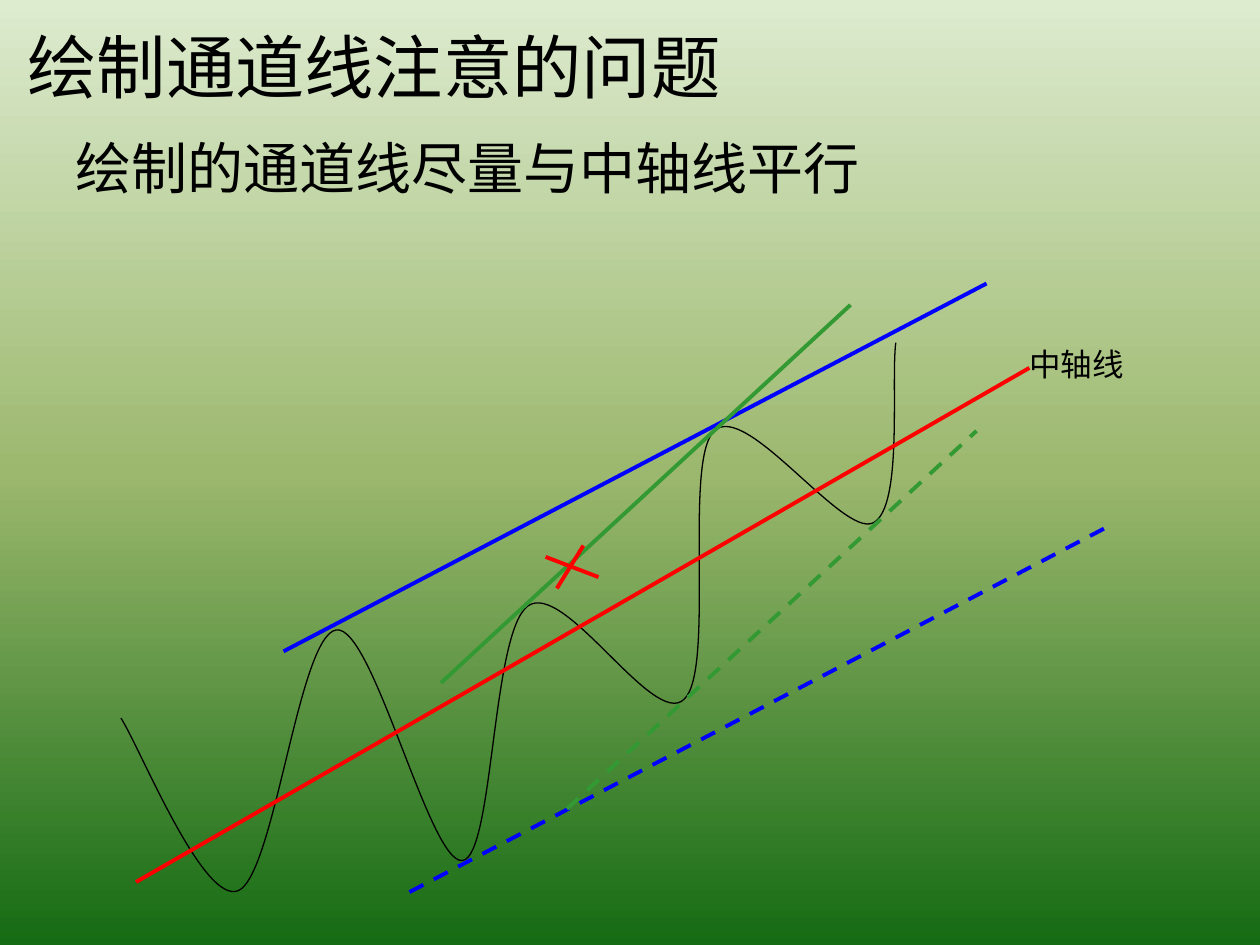
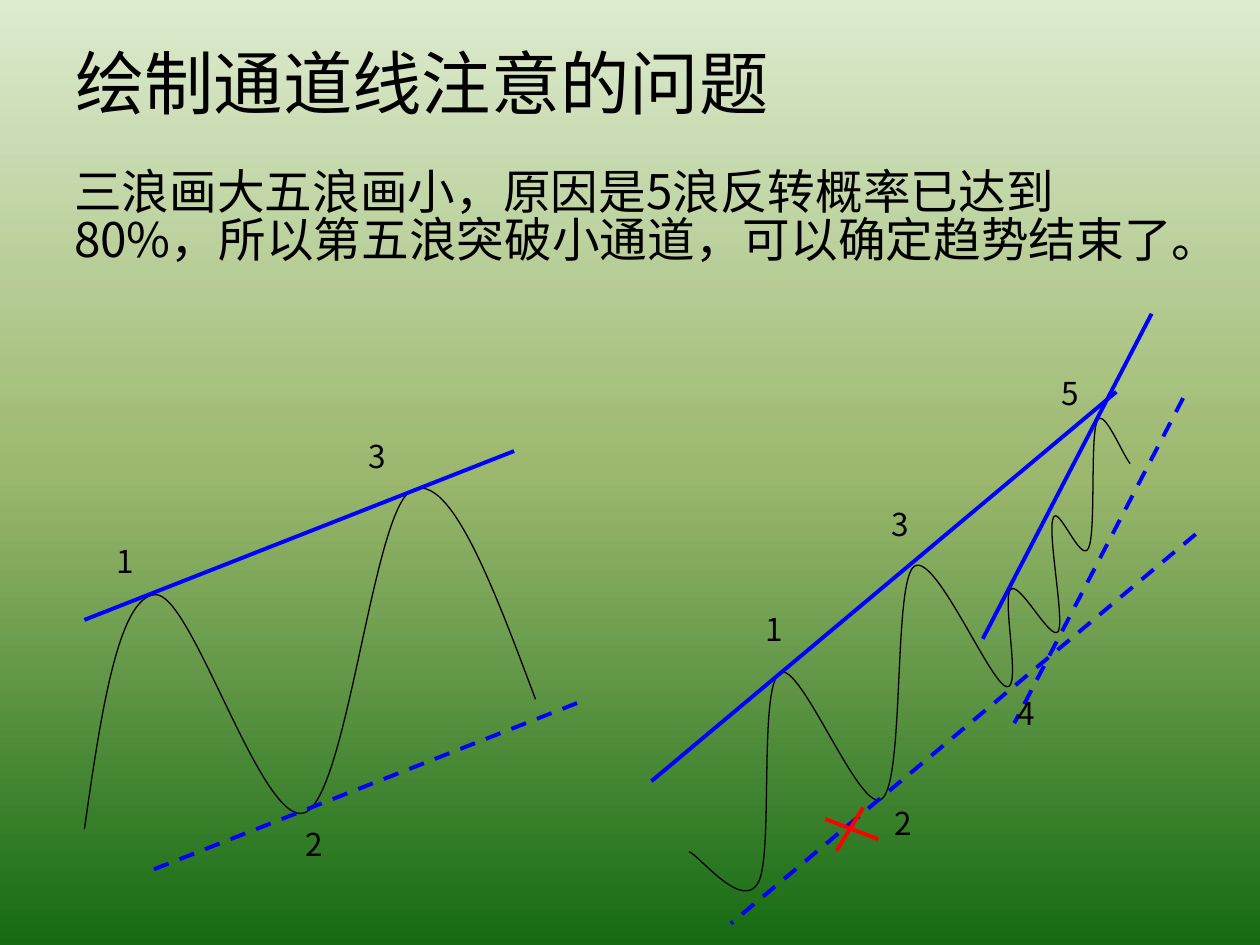
from copy import deepcopy
from dataclasses import dataclass

from pptx import Presentation
from pptx.dml.color import RGBColor
from pptx.enum.dml import MSO_LINE
from pptx.enum.shapes import MSO_CONNECTOR
from pptx.enum.text import MSO_ANCHOR, MSO_AUTO_SIZE
from pptx.oxml.ns import qn
from pptx.oxml.xmlchemy import OxmlElement
from pptx.util import Emu, Pt

PX = 9144  # 100 px to the inch
FONT = "Noto Sans CJK SC"
BLACK, BLUE, GREEN, RED = "000000", "0000FF", "339933", "FF0000"
BACKGROUND = [(0, "DDEBCF"), (0.5, "9CB86E"), (1, "156B13")]
TITLE = "绘制通道线注意的问题"
TITLE_SIZE, LABEL_SIZE = 39.6, 18
TITLE_SPACING = 0.95
THIN, THICK = 0.75, 2.25
STRAIGHT = MSO_CONNECTOR.STRAIGHT
DASH = MSO_LINE.DASH
TOP, MIDDLE = MSO_ANCHOR.TOP, MSO_ANCHOR.MIDDLE
GROW = MSO_AUTO_SIZE.SHAPE_TO_FIT_TEXT

Point = tuple[int, int]


@dataclass
class Frame:
    left: int
    top: int
    width: int
    height: int


@dataclass
class Body:
    text: str
    frame: Frame
    size: float
    spacing: float


@dataclass
class Segment:
    start: Point
    end: Point
    colour: str = BLUE
    dashed: bool = False


@dataclass
class Channel:
    """A solid line and its dashed parallel, moved by shift."""
    start: Point
    end: Point
    shift: Point
    colour: str = BLUE


@dataclass
class Label:
    text: str
    left: int
    top: int
    width: int = 34


@dataclass
class ChannelPage:
    title_frame: Frame
    body: Body
    waves: list[list[Point]]
    channels: list[Channel]
    axes: list[Segment]
    labels: list[Label]
    cross: Point


CROSS_ARMS = [Segment((30, 0), (9, 34), RED), Segment((0, 9), (42, 25), RED)]

PAGES = [
    ChannelPage(
        title_frame=Frame(12, 21, 900, 69),
        body=Body("绘制的通道线尽量与中轴线平行", Frame(50, 107, 900, 79), 32, 0.9),
        waves=[[
            (96, 570),
            (111, 593), (161, 718), (189, 707),
            (218, 695), (237, 504), (267, 500),
            (296, 496), (341, 686), (367, 683),
            (392, 680), (390, 502), (419, 481),
            (448, 460), (519, 579), (543, 555),
            (568, 532), (542, 365), (567, 342),
            (592, 318), (669, 427), (693, 415),
            (717, 403), (707, 302), (711, 272),
        ]],
        channels=[
            Channel((225, 517), (783, 225), (100, 191)),
            Channel((350, 542), (675, 242), (100, 100), GREEN),
        ],
        axes=[Segment((108, 700), (817, 292), RED)],
        labels=[Label("中轴线", 807, 269, 95)],
        cross=(433, 433),
    ),
    ChannelPage(
        title_frame=Frame(50, 30, 900, 77),
        body=Body(
            "三浪画大五浪画小，原因是5浪反转概率已达到80%，"
            "所以第五浪突破小通道，可以确定趋势结束了。",
            Frame(49, 131, 900, 94), 27.2, 0.84),
        waves=[
            [
                (67, 658),
                (80, 566), (94, 474), (123, 472),
                (152, 469), (208, 658), (242, 645),
                (276, 631), (296, 404), (327, 389),
                (357, 374), (391, 464), (425, 555),
            ],
            [
                (547, 676),
                (556, 680), (590, 724), (602, 700),
                (614, 677), (602, 545), (619, 534),
                (635, 523), (683, 648), (700, 634),
                (718, 620), (709, 465), (725, 450),
                (741, 435), (786, 543), (799, 545),
                (811, 548), (795, 475), (802, 468),
                (809, 460), (834, 510), (840, 501),
                (845, 492), (831, 422), (836, 411),
                (840, 400), (858, 448), (864, 435),
                (870, 422), (865, 345), (871, 334),
                (876, 323), (891, 361), (897, 368),
            ],
        ],
        channels=[
            Channel((408, 358), (67, 492), (50, 200)),
            Channel((886, 311), (517, 620), (63, 113)),
            Channel((914, 249), (780, 507), (25, 67)),
        ],
        axes=[],
        labels=[
            Label("1", 83, 425), Label("2", 233, 650), Label("3", 283, 342),
            Label("1", 598, 479), Label("2", 700, 633), Label("3", 698, 396),
            Label("4", 798, 546), Label("5", 833, 292),
        ],
        cross=(655, 641),
    ),
]


def rgb(colour: str) -> RGBColor:
    return RGBColor.from_string(colour)


def px(length: int) -> Emu:
    return Emu(length * PX)


def moved(point: Point, shift: Point) -> Point:
    return point[0] + shift[0], point[1] + shift[1]


def paint_background(page) -> None:
    fill = page.background.fill
    fill.gradient()
    fill.gradient_angle = 270
    stop_list = next(page.element.iter(qn("a:gsLst")))
    stop_list.append(deepcopy(stop_list[0]))
    for stop, (position, colour) in zip(fill.gradient_stops, BACKGROUND):
        stop.position = position
        stop.color.rgb = rgb(colour)


def add_text(page, text: str, frame: Frame, size: float,
             spacing: float | None = None, anchor=TOP, wrap: bool = True):
    box = page.shapes.add_textbox(
        px(frame.left), px(frame.top), px(frame.width), px(frame.height))
    text_frame = box.text_frame
    text_frame.text = text
    text_frame.word_wrap = wrap
    text_frame.vertical_anchor = anchor
    para = text_frame.paragraphs[0]
    para.line_spacing = spacing
    for span in para.runs:
        span.font.name = FONT
        span.font.size = Pt(size)
        span.font.color.rgb = rgb(BLACK)
        east_asian = OxmlElement("a:ea")
        east_asian.set("typeface", FONT)
        span.font._element.append(east_asian)
    return box


def add_label(page, label: Label) -> None:
    frame = Frame(label.left, label.top, label.width, 40)
    box = add_text(page, label.text, frame, LABEL_SIZE, wrap=False)
    box.text_frame.auto_size = GROW


def add_segment(shapes, segment: Segment) -> None:
    connector = shapes.add_connector(
        STRAIGHT, *map(px, segment.start + segment.end))
    connector.line.color.rgb = rgb(segment.colour)
    connector.line.width = Pt(THICK)
    if segment.dashed:
        connector.line.dash_style = DASH
    connector._element.spPr.append(OxmlElement("a:effectLst"))


def add_channel(page, channel: Channel) -> None:
    add_segment(page.shapes, Segment(channel.start, channel.end, channel.colour))
    add_segment(page.shapes, Segment(
        moved(channel.start, channel.shift), moved(channel.end, channel.shift),
        channel.colour, dashed=True))


def add_cross(page, corner: Point) -> None:
    group = page.shapes.add_group_shape()
    for arm in CROSS_ARMS:
        add_segment(group.shapes, Segment(
            moved(arm.start, corner), moved(arm.end, corner), arm.colour))


def add_wave(page, points: list[Point]) -> None:
    """Draw a Bezier curve: a start, then two controls and an end per piece."""
    builder = page.shapes.build_freeform(*points[0], scale=PX)
    builder.add_line_segments(points[1:], close=False)
    wave = builder.convert_to_shape()
    wave.shadow.inherit = False
    wave.fill.background()
    wave.line.color.rgb = rgb(BLACK)
    wave.line.width = Pt(THIN)
    outline = next(wave._element.iter(qn("a:path")))
    steps = outline.findall(qn("a:lnTo"))
    for first in range(0, len(steps), 3):
        curve = OxmlElement("a:cubicBezTo")
        for step in steps[first:first + 3]:
            curve.append(step[0])
            outline.remove(step)
        outline.append(curve)


def add_page(deck, content: ChannelPage) -> None:
    page = deck.slides.add_slide(deck.slide_layouts[6])
    paint_background(page)
    add_text(page, TITLE, content.title_frame, TITLE_SIZE, TITLE_SPACING, MIDDLE)
    body = content.body
    add_text(page, body.text, body.frame, body.size, body.spacing)
    for wave in content.waves:
        add_wave(page, wave)
    for channel in content.channels:
        add_channel(page, channel)
    for axis in content.axes:
        add_segment(page.shapes, axis)
    for label in content.labels:
        add_label(page, label)
    add_cross(page, content.cross)


def main() -> None:
    deck = Presentation()
    deck.slide_width, deck.slide_height = px(1000), px(750)
    for content in PAGES:
        add_page(deck, content)
    deck.save("out.pptx")


if __name__ == "__main__":
    main()
